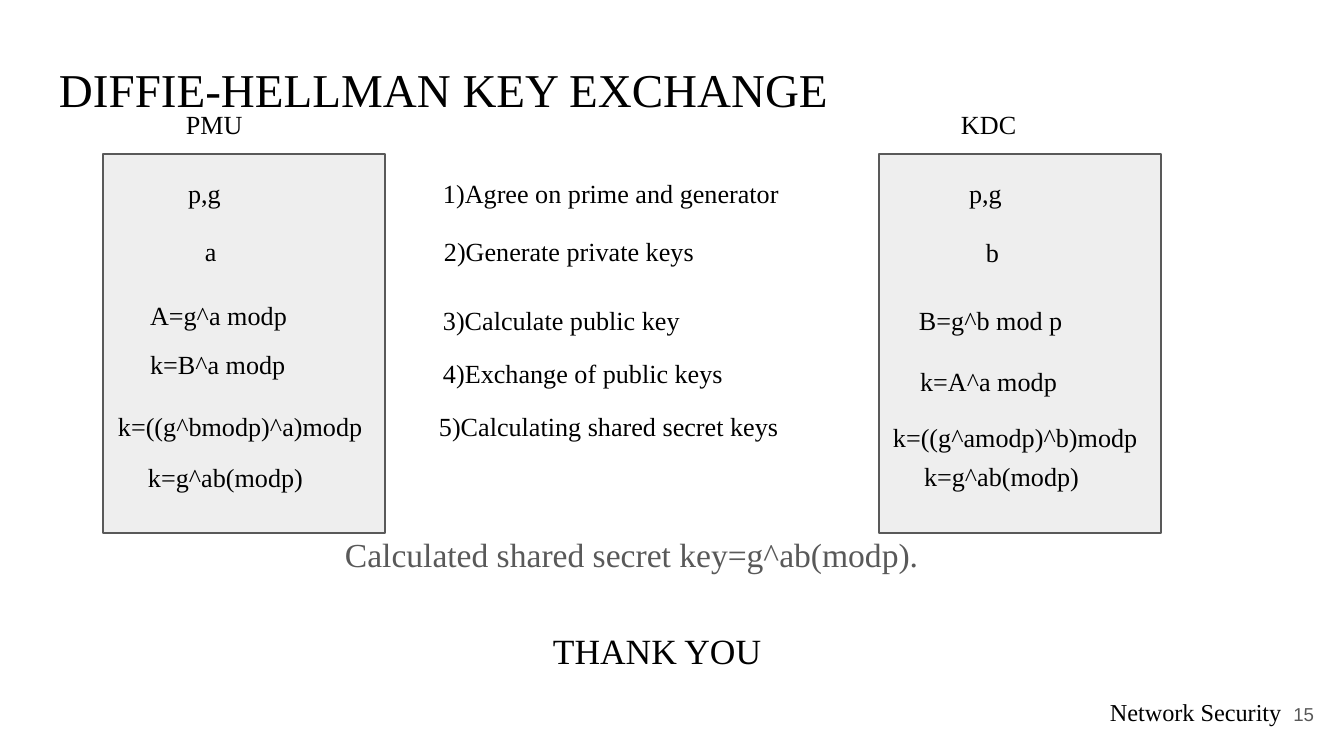
from pptx import Presentation
from pptx import util as u
from pptx.dml.color import RGBColor
from pptx.enum import shapes, text

PX = 914400 / 134.4
SERIF, SANS = "Times New Roman", "Arial"
BLACK = RGBColor(0x00, 0x00, 0x00)
GREY = RGBColor(0x59, 0x59, 0x59)
PANEL = RGBColor(0xEE, 0xEE, 0xEE)
INSET, ROW_H = 13, 59

# Each row: left, top, width, indent, wording
PMU_ROWS = [
    (95, 95, 298, 78, "PMU"),
    (175, 164, 81, 0, "p,g"),
    (192, 222, 47, 0, "a"),
    (137, 286, 175, 0, "A=g^a modp"),
    (137, 335, 215, 0, "k=B^a modp"),
    (98, 397, 298, 7, "k=((g^bmodp)^a)modp"),
    (102, 448, 267, 33, "k=g^ab(modp)"),
]
STEP_ROWS = [
    (430, 164, 368, 0, "1)Agree on prime and generator"),
    (431, 222, 425, 0, "2)Generate private keys"),
    (430, 291, 332, 0, "3)Calculate public key"),
    (423, 344, 386, 7, "4)Exchange of public keys"),
    (419, 397, 441, 7, "5)Calculating shared secret keys"),
]
KDC_ROWS = [
    (870, 95, 332, 78, "KDC"),
    (923, 164, 175, 33, "p,g"),
    (973, 223, 58, 0, "b"),
    (906, 291, 228, 0, "B=g^b mod p"),
    (894, 352, 282, 13, "k=A^a modp"),
    (880, 408, 332, 0, "k=((g^amodp)^b)modp"),
    (911, 447, 195, 0, "k=g^ab(modp)"),
]


def px(n):
    return u.Emu(round(n * PX))


def box(*lengths):
    return [px(n) for n in lengths]


def write(sp, wording, size, color=BLACK, font=SERIF, indent=0,
          align=text.PP_ALIGN.LEFT, anchor=text.MSO_ANCHOR.TOP):
    tf = sp.text_frame
    frame = {"word_wrap": True, "auto_size": text.MSO_AUTO_SIZE.NONE,
             "vertical_anchor": anchor}
    frame.update({f"margin_{side}": px(INSET)
                  for side in ("left", "top", "right", "bottom")})
    for name, value in frame.items():
        setattr(tf, name, value)
    p = tf.paragraphs[0]
    p.alignment = align
    if indent:
        p._p.get_or_add_pPr().set("marL", str(px(indent)))
    r = p.add_run()
    r.text = wording
    for name, value in {"size": u.Pt(size), "name": font}.items():
        setattr(r.font, name, value)
    r.font.color.rgb = color


def add_title(s, wording):
    sp = s.shapes.title
    sp.left, sp.top, sp.width, sp.height = box(46, 47, 1253, 85)
    write(sp, wording, 25.2)


def add_label(s, at, wording, size, **style):
    write(s.shapes.add_textbox(*box(*at)), wording, size, **style)


def add_panel(s, left):
    sp = s.shapes.add_shape(shapes.MSO_SHAPE.RECTANGLE,
                            *box(left, 154, 282, 379))
    sp.shadow.inherit = False
    sp.fill.solid()
    sp.fill.fore_color.rgb = PANEL
    sp.line.color.rgb = GREY
    sp.line.width = u.Pt(0.75)


def main():
    prs = Presentation()
    prs.slide_width, prs.slide_height = box(1344, 756)
    s = prs.slides.add_slide(prs.slide_layouts[5])
    add_title(s, "DIFFIE-HELLMAN KEY EXCHANGE")

    # Both parties and the steps between them
    for left in (103, 879):
        add_panel(s, left)
    for left, top, width, indent, wording in PMU_ROWS + STEP_ROWS + KDC_ROWS:
        add_label(s, (left, top, width, ROW_H), wording, 14, indent=indent)

    # Result and closing
    add_label(s, (46, 521, 1253, 70), "Calculated shared secret key=g^ab(modp).",
              18, color=GREY, indent=286)
    add_label(s, (478, 616, 332, 70), "THANK YOU", 19, indent=62)

    # Footer
    add_label(s, (1059, 684, 273, 72), "Network Security", 13,
              align=text.PP_ALIGN.CENTER)
    add_label(s, (1246, 685, 81, 58), "15", 10, color=GREY, font=SANS,
              align=text.PP_ALIGN.RIGHT, anchor=text.MSO_ANCHOR.MIDDLE)
    prs.save("out.pptx")


main()
